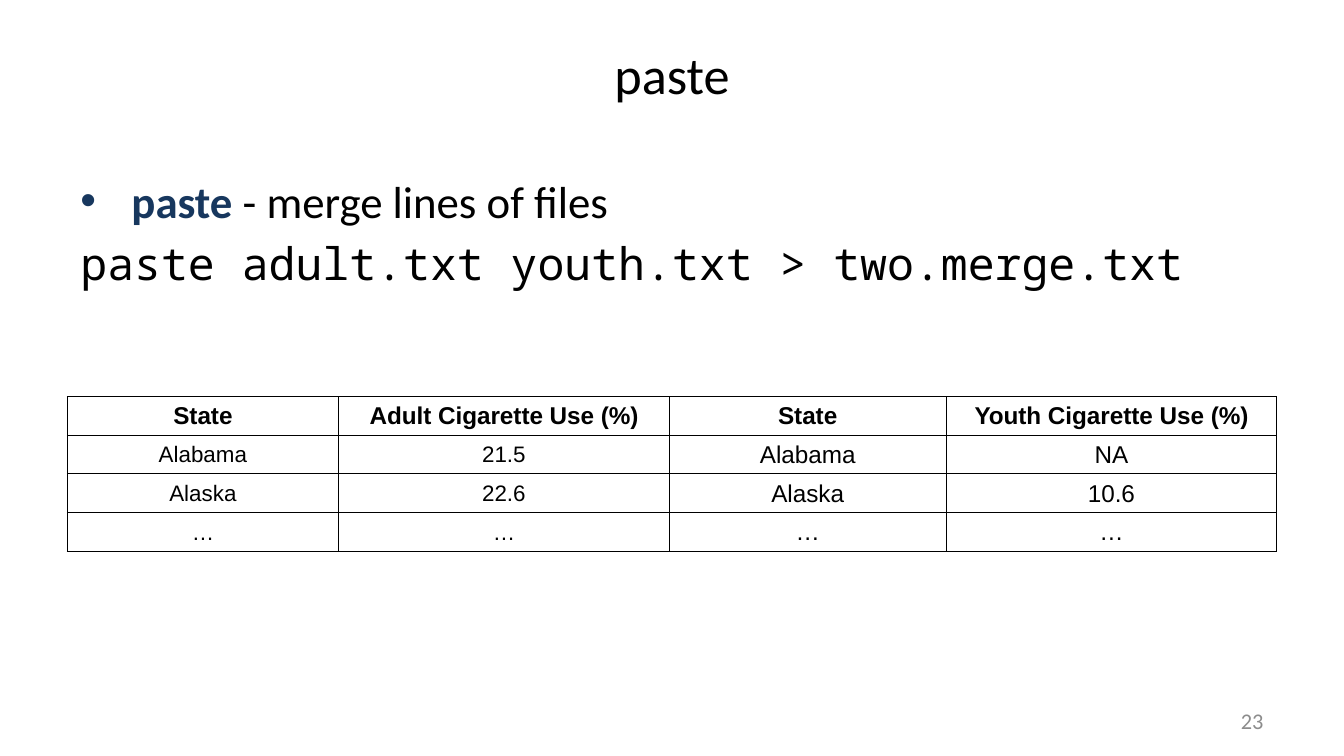
from lxml import etree
from pptx import Presentation
from pptx.dml.color import RGBColor
from pptx.enum.text import MSO_ANCHOR, PP_ALIGN
from pptx.oxml.ns import qn
from pptx.util import Inches, Pt

CENTER, RIGHT = PP_ALIGN.CENTER, PP_ALIGN.RIGHT
MIDDLE, TOP = MSO_ANCHOR.MIDDLE, MSO_ANCHOR.TOP
TITLE_ONLY = 5

# Content
TITLE = "paste"
COMMAND_NAME, COMMAND_MEANING = "paste ", "- merge lines of files"
COMMAND_LINE = "paste adult.txt youth.txt > two.merge.txt"
PAGE_NUMBER = "23"
ROWS = [
    ("State", "Adult Cigarette Use (%)", "State", "Youth Cigarette Use (%)"),
    ("Alabama", "21.5", "Alabama", "NA"),
    ("Alaska", "22.6", "Alaska", "10.6"),
    ("…", "…", "…", "…"),
]
COLUMN_WIDTHS = (2.02, 2.46, 2.06, 2.46)
TABLE_HEIGHT = 1.15

THEME = {
    "text": "Calibri", "code": "Noto Sans Mono", "table": "Arial",
    "black": "000000", "navy": "17375E", "gray": "8C8C8C",
    "title_size": 28, "body_size": 24, "number_size": 12,
    "table_size": 13, "adult_size": 12, "border": 0.5,
}


def style(span, font, size, color="black", bold=False):
    span.font.name = THEME[font]
    span.font.size = Pt(THEME[size])
    span.font.color.rgb = RGBColor.from_string(THEME[color])
    span.font.bold = bold


def place(box, left, top, width, height, anchor):
    box.left, box.top = Inches(left), Inches(top)
    box.width, box.height = Inches(width), Inches(height)
    box.text_frame.word_wrap = True
    box.text_frame.vertical_anchor = anchor


def add_bullet(para, indent):
    properties = para._p.get_or_add_pPr()
    properties.set("marL", str(Inches(indent)))
    properties.set("indent", str(-Inches(indent)))
    etree.SubElement(properties, qn("a:buFont"), typeface="Arial")
    etree.SubElement(properties, qn("a:buChar"), char="•")


def add_borders(cell):
    properties = cell._tc.get_or_add_tcPr()
    for side in ("lnL", "lnR", "lnT", "lnB"):
        line = etree.SubElement(properties, qn(f"a:{side}"), w=str(Pt(THEME["border"])))
        fill = etree.SubElement(line, qn("a:solidFill"))
        etree.SubElement(fill, qn("a:srgbClr"), val=THEME["black"])


# Widescreen page, 16 by 9
deck = Presentation()
deck.slide_width = Inches(10)
deck.slide_height = deck.slide_width * 9 // 16
page = deck.slides.add_slide(deck.slide_layouts[TITLE_ONLY])

# Title
title = page.shapes.title
place(title, 0.5, 0.23, 9, 0.63, MIDDLE)
title.text_frame.text = TITLE
para = title.text_frame.paragraphs[0]
para.alignment = CENTER
style(para.runs[0], "text", "title_size")

# Command and its meaning
body = page.shapes.add_textbox(0, 0, 0, 0)
place(body, 0.5, 1.24, 9.22, 1.03, TOP)
para = body.text_frame.paragraphs[0]
add_bullet(para, 0.38)
for text, color, bold in ((COMMAND_NAME, "navy", True), (COMMAND_MEANING, "black", False)):
    span = para.add_run()
    span.text = text
    style(span, "text", "body_size", color, bold)
para = body.text_frame.add_paragraph()
para.text = COMMAND_LINE
para.space_before = Pt(0.2 * THEME["body_size"])
style(para.runs[0], "code", "body_size")

# Merged table
frame = page.shapes.add_table(
    len(ROWS), len(COLUMN_WIDTHS), Inches(0.5), Inches(2.95),
    Inches(sum(COLUMN_WIDTHS)), Inches(TABLE_HEIGHT))
table = frame.table
table.first_row = table.horz_banding = False
for column, width in zip(table.columns, COLUMN_WIDTHS):
    column.width = Inches(width)
for r, values in enumerate(ROWS):
    table.rows[r].height = Inches(TABLE_HEIGHT / len(ROWS))
    for c, value in enumerate(values):
        cell = table.cell(r, c)
        cell.text = value
        cell.vertical_anchor = MIDDLE
        cell.margin_left = cell.margin_right = cell.margin_top = Inches(0.01)
        cell.margin_bottom = 0
        add_borders(cell)
        cell.fill.background()
        para = cell.text_frame.paragraphs[0]
        para.alignment = CENTER
        size = "adult_size" if r > 0 and c < 2 else "table_size"
        style(para.runs[0], "table", size, bold=r == 0)

# Page number
number = page.shapes.add_textbox(0, 0, 0, 0)
place(number, 7.17, 5.21, 2.33, 0.3, MIDDLE)
number.text_frame.text = PAGE_NUMBER
para = number.text_frame.paragraphs[0]
para.alignment = RIGHT
style(para.runs[0], "text", "number_size", "gray")

deck.save("out.pptx")
